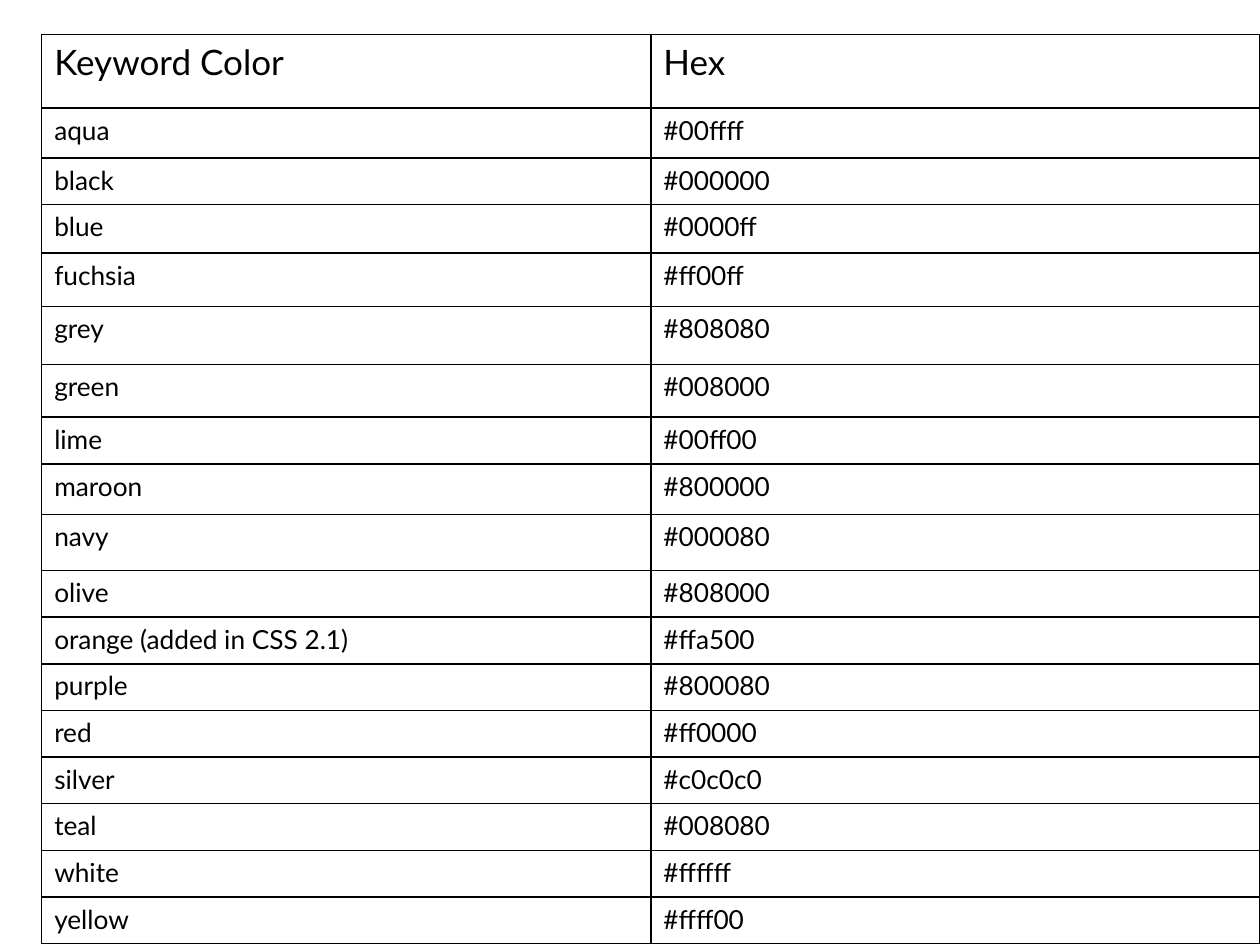
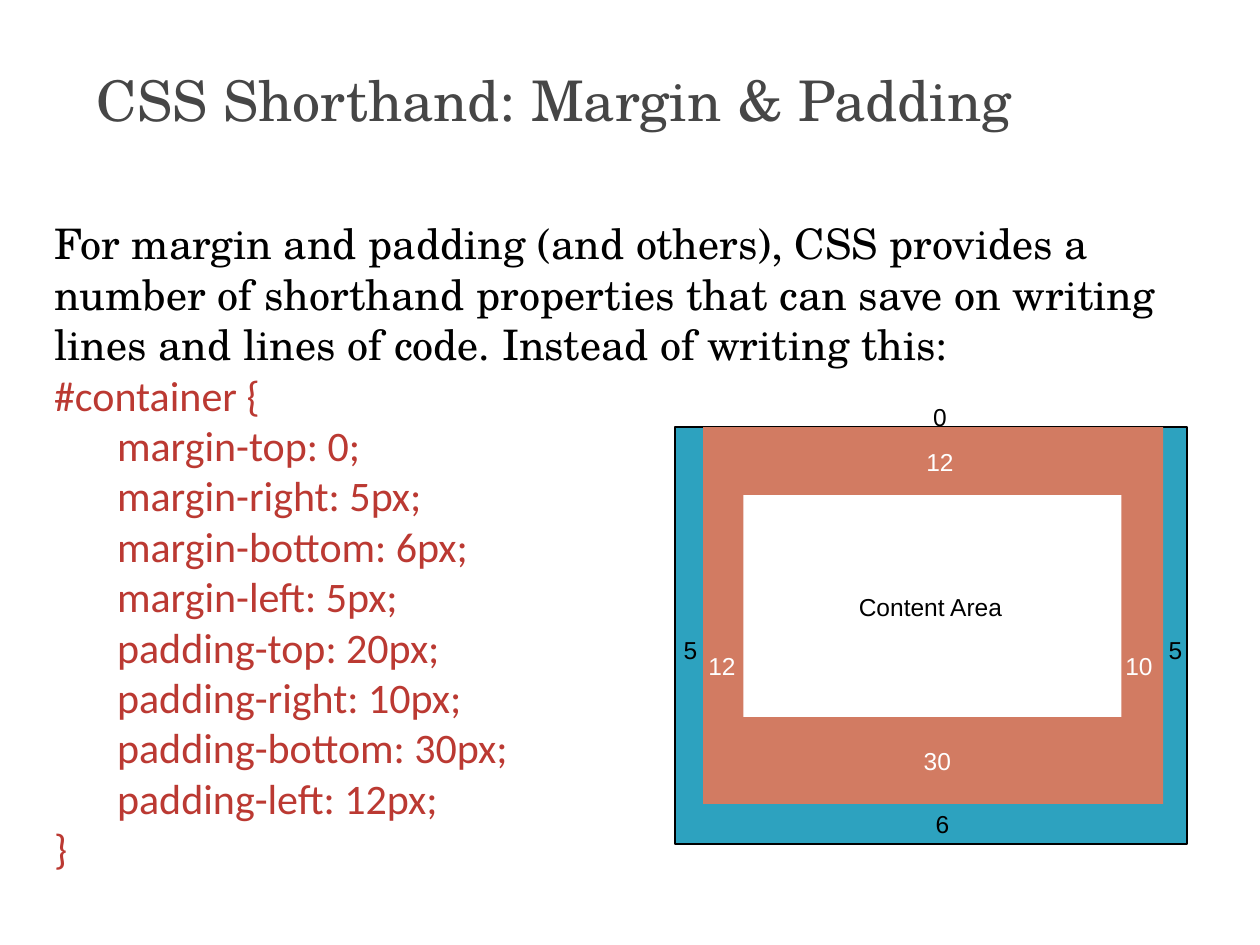
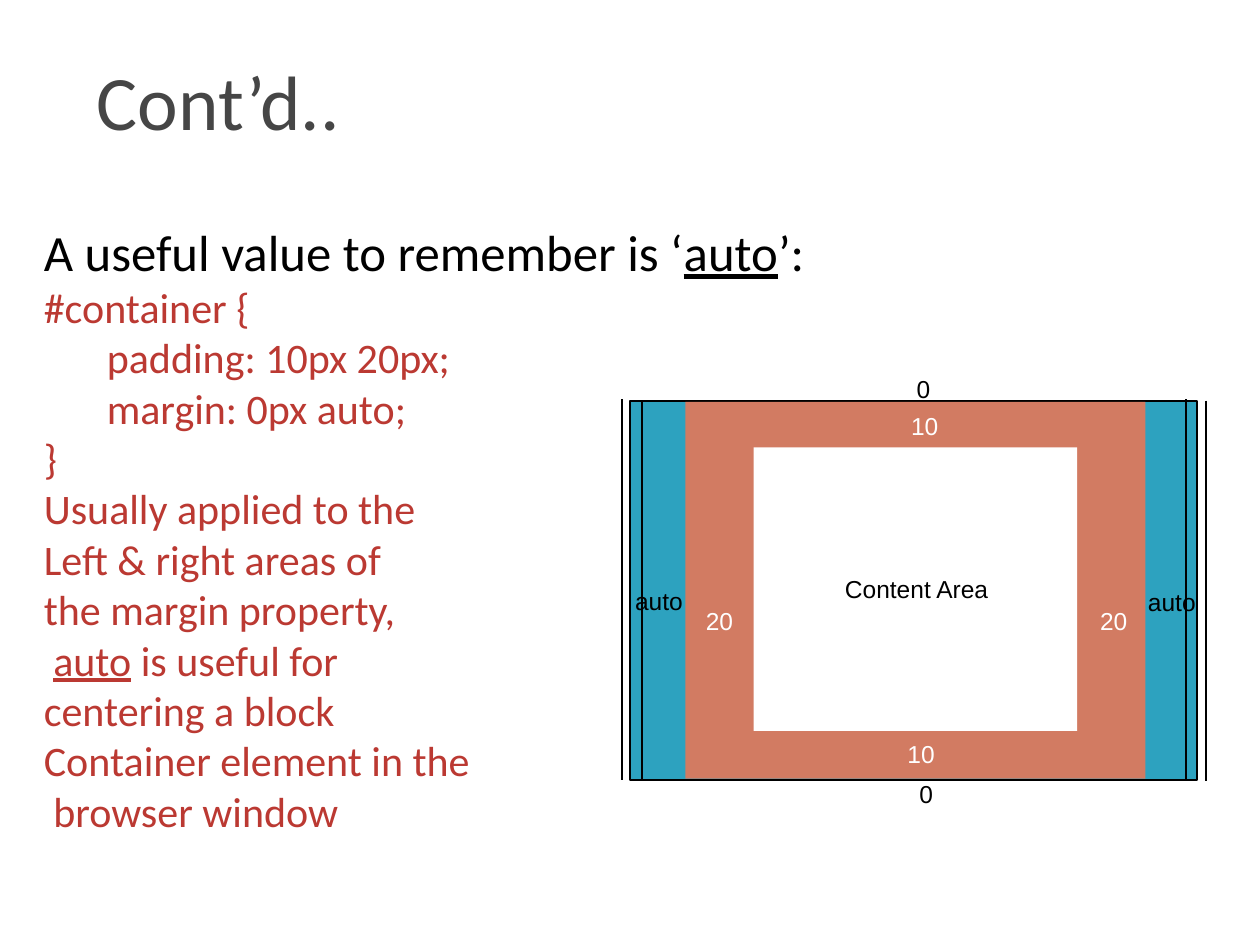
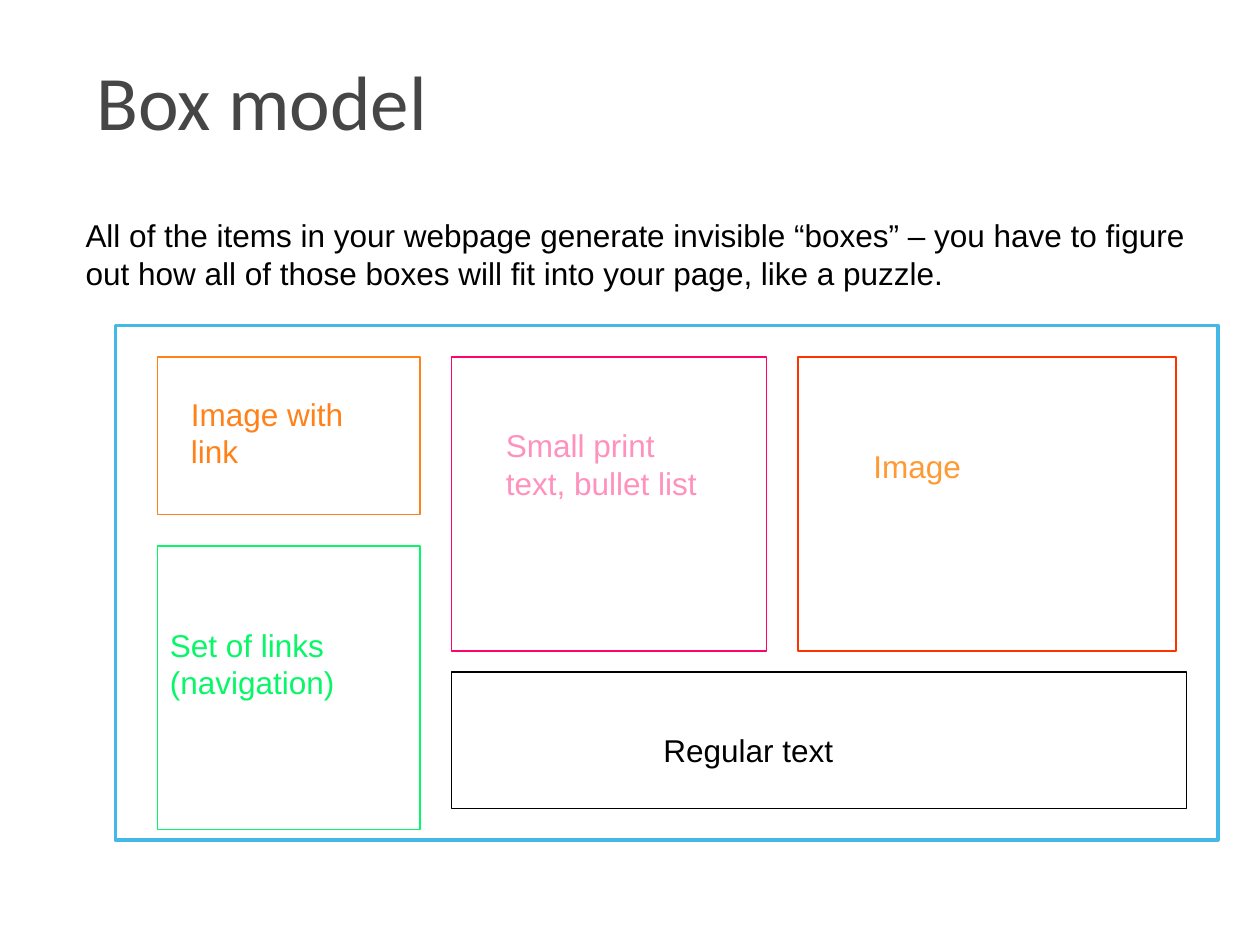
from dataclasses import dataclass
from typing import Optional

import pptx
import pptx.dml.color
import pptx.enum.shapes
import pptx.enum.text
import pptx.oxml
import pptx.oxml.ns
import pptx.util

Pt = pptx.util.Pt
RGBColor = pptx.dml.color.RGBColor
ALIGN = pptx.enum.text.PP_ALIGN
ANCHOR = pptx.enum.text.MSO_ANCHOR

BLACK = RGBColor(0x00, 0x00, 0x00)
WHITE = RGBColor(0xFF, 0xFF, 0xFF)
TITLE_GREY = RGBColor(0x46, 0x46, 0x46)
CODE_RED = RGBColor(0xBB, 0x39, 0x32)
MARGIN_BLUE = RGBColor(0x2D, 0xA2, 0xBF)
PADDING_ORANGE = RGBColor(0xD2, 0x7B, 0x62)
PAGE_BLUE = RGBColor(0x44, 0xB9, 0xE8)
ORANGE = RGBColor(0xFF, 0x81, 0x19)
LIGHT_ORANGE = RGBColor(0xFF, 0x99, 0x33)
PINK = RGBColor(0xFF, 0x05, 0x6A)
LIGHT_PINK = RGBColor(0xFF, 0x91, 0xBE)
GREEN = RGBColor(0x07, 0xF7, 0x68)
RED = RGBColor(0xFF, 0x33, 0x00)

SERIF = "TeX Gyre Schola"
SANS = "Calibri"
CODE_LEADING = 28.8
LABEL_WIDTH, CONTENT_LABEL_WIDTH, LABEL_HEIGHT = 67.7, 169.2, 23.8


@dataclass(frozen=True)
class Box:
    """A rectangle, in points."""
    left: float
    top: float
    width: float
    height: float

    def lengths(self) -> tuple:
        return tuple(Pt(n) for n in (self.left, self.top, self.width, self.height))


@dataclass(frozen=True)
class Label:
    """A centred caption on a margin and padding diagram."""
    text: str
    left: float
    top: float
    color: RGBColor = BLACK
    width: float = LABEL_WIDTH


@dataclass(frozen=True)
class PageItem:
    """An outlined region of the box model and its caption."""
    outline: Box
    line_color: RGBColor
    text: str
    text_box: Box
    text_color: RGBColor


TITLE_BOX = Box(48.2, 18, 642.2, 77.8)

KEYWORD_COLORS = [
    ("Keyword Color", "Hex"),
    ("aqua", "#00ffff"),
    ("black", "#000000"),
    ("blue", "#0000ff"),
    ("fuchsia", "#ff00ff"),
    ("grey", "#808080"),
    ("green", "#008000"),
    ("lime", "#00ff00"),
    ("maroon", "#800000"),
    ("navy", "#000080"),
    ("olive", "#808000"),
    ("orange (added in CSS 2.1)", "#ffa500"),
    ("purple", "#800080"),
    ("red", "#ff0000"),
    ("silver", "#c0c0c0"),
    ("teal", "#008080"),
    ("white", "#ffffff"),
    ("yellow", "#ffff00"),
]
ROW_HEIGHT = 26.65
TALL_ROWS = {0: 42.2, 1: 28.6, 3: 27.6, 4: 30.6, 5: 33.1, 6: 30.2, 8: 29, 9: 32}

SHORTHAND_INTRO = (
    "For margin and padding (and others), CSS provides a number of shorthand "
    "properties that can save on writing lines and lines of code. "
    "Instead of writing this:"
)
SHORTHAND_CODE = [
    "#container {",
    "\tmargin-top: 0;",
    "\tmargin-right: 5px;",
    "\tmargin-bottom: 6px;",
    "\tmargin-left: 5px;",
    "\tpadding-top: 20px;",
    "\tpadding-right: 10px;",
    "\tpadding-bottom: 30px;",
    "\tpadding-left: 12px;",
    "}",
]
AUTO_CODE = [
    "#container {",
    "\tpadding: 10px 20px;",
    "\tmargin: 0px auto;",
    "}",
    "Usually applied to the",
    "Left & right areas of",
    "the margin property,",
    " _auto_ is useful for",
    "centering a block",
    "Container element in the",
    " browser window",
]

# Diagram boxes run margin, padding, content
SHORTHAND_BOXES = (
    Box(385.9, 244.1, 292.3, 238.3),
    Box(401.8, 244.1, 262.8, 215.3),
    Box(424.8, 283, 216, 126.7),
)
SHORTHAND_LABELS = [
    Label("Content Area", 447.1, 334.8, width=CONTENT_LABEL_WIDTH),
    Label("6", 504.7, 458.6),
    Label("5", 360.7, 359.3),
    Label("5", 637.9, 359.3),
    Label("12", 378.7, 368.6, WHITE),
    Label("10", 617, 368.6, WHITE),
    Label("30", 501.8, 422.6, WHITE),
    Label("12", 503.3, 252, WHITE),
    Label("0", 503.3, 226.1),
]
AUTO_BOXES = (
    Box(360, 229, 324, 216.7),
    Box(391.7, 229.7, 262.8, 215.3),
    Box(430.6, 255.6, 185, 162),
)
AUTO_LABELS = [
    Label("Content Area", 439.2, 324.7, width=CONTENT_LABEL_WIDTH),
    Label("0", 495.4, 441.4),
    Label("auto", 342.7, 331.2),
    Label("auto", 635.8, 331.9),
    Label("20", 377.3, 342.7, WHITE),
    Label("20", 602.6, 342.7, WHITE),
    Label("10", 492.5, 419, WHITE),
    Label("10", 494.6, 231.1, WHITE),
    Label("0", 493.9, 210.2),
]
AUTO_EDGES = [(355.5, 228.2), (366.8, 229), (677.8, 228.2), (689.2, 229)]
AUTO_EDGE_LENGTH = 217.4

PAGE_ITEMS = [
    PageItem(Box(90, 204, 150, 90), ORANGE,
             "Image with link", Box(102, 222, 114, 50.4), ORANGE),
    PageItem(Box(258, 204, 180, 168), PINK,
             "Small print text, bullet list", Box(282, 240, 132, 50.4), LIGHT_PINK),
    PageItem(Box(90, 312, 150, 162), GREEN,
             "Set of links (navigation)", Box(90, 354, 150, 50.4), GREEN),
    PageItem(Box(258, 384, 420, 78), BLACK,
             "Regular text", Box(372, 414, 234, 28.8), BLACK),
    PageItem(Box(456, 204, 216, 168), RED,
             "Image", Box(492, 252, 144, 28.8), LIGHT_ORANGE),
]


def write_text(frame, text: str, *, font: str = "Arial", size: float = 18,
               color: RGBColor = BLACK, align=ALIGN.LEFT,
               leading: Optional[float] = None) -> None:
    """Append one paragraph; words between underscores are underlined."""
    paragraph = frame.paragraphs[0]
    if paragraph.runs:
        paragraph = frame.add_paragraph()
    paragraph.alignment = align
    if leading:
        paragraph.line_spacing = Pt(leading)
    for index, part in enumerate(text.split("_")):
        run = paragraph.add_run()
        run.text = part
        run.font.name = font
        run.font.size = Pt(size)
        run.font.color.rgb = color
        if index % 2:
            run.font.underline = True


def add_frame(slide, box: Box, anchor=ANCHOR.TOP):
    frame = slide.shapes.add_textbox(*box.lengths()).text_frame
    frame.word_wrap = True
    frame.vertical_anchor = anchor
    return frame


def add_title(slide, text: str, font: str = SANS, size: float = 44) -> None:
    frame = add_frame(slide, TITLE_BOX, ANCHOR.MIDDLE)
    write_text(frame, text, font=font, size=size, color=TITLE_GREY)


def add_code(frame, lines: list[str]) -> None:
    for line in lines:
        write_text(frame, line, font=SANS, size=24, color=CODE_RED,
                   leading=CODE_LEADING)


def add_rectangle(slide, box: Box, fill: Optional[RGBColor] = None,
                  line: Optional[RGBColor] = None, line_width: float = 1) -> None:
    shape = slide.shapes.add_shape(
        pptx.enum.shapes.MSO_SHAPE.RECTANGLE, *box.lengths())
    shape.shadow.inherit = False
    if fill is None:
        shape.fill.background()
    else:
        shape.fill.solid()
        shape.fill.fore_color.rgb = fill
    if line is None:
        shape.line.fill.background()
    else:
        shape.line.color.rgb = line
        shape.line.width = Pt(line_width)


def add_vertical_line(slide, left: float, top: float, length: float) -> None:
    connector = slide.shapes.add_connector(
        pptx.enum.shapes.MSO_CONNECTOR.STRAIGHT,
        Pt(left), Pt(top), Pt(left), Pt(top + length))
    connector.line.color.rgb = BLACK
    connector.line.width = Pt(1.5)
    properties = connector._element.spPr
    properties.append(properties.makeelement(pptx.oxml.ns.qn("a:effectLst"), {}))


def add_diagram(slide, boxes: tuple[Box, Box, Box], labels: list[Label]) -> None:
    margin, padding, content = boxes
    add_rectangle(slide, margin, MARGIN_BLUE, BLACK)
    add_rectangle(slide, padding, PADDING_ORANGE)
    add_rectangle(slide, content, WHITE)
    for label in labels:
        box = Box(label.left, label.top, label.width, LABEL_HEIGHT)
        write_text(add_frame(slide, box), label.text, size=14,
                   color=label.color, align=ALIGN.CENTER)


def add_cell_borders(cell) -> None:
    properties = cell._tc.get_or_add_tcPr()
    for position, side in enumerate(("lnL", "lnR", "lnT", "lnB")):
        border = pptx.oxml.parse_xml(
            f'<a:{side} {pptx.oxml.ns.nsdecls("a")} w="{Pt(1)}">'
            f'<a:solidFill><a:srgbClr val="{BLACK}"/></a:solidFill></a:{side}>')
        properties.insert(position, border)


def build_color_table(slide) -> None:
    heights = [TALL_ROWS.get(row, ROW_HEIGHT) for row in range(len(KEYWORD_COLORS))]
    box = Box(23.8, 19.6, 696.2, sum(heights))
    table = slide.shapes.add_table(len(heights), 2, *box.lengths()).table
    table.first_row = False
    table.horz_banding = False
    for column in table.columns:
        column.width = Pt(box.width / 2)
    for row, (height, texts) in enumerate(zip(heights, KEYWORD_COLORS)):
        table.rows[row].height = Pt(height)
        for column, text in enumerate(texts):
            cell = table.cell(row, column)
            cell.fill.background()
            add_cell_borders(cell)
            write_text(cell.text_frame, text, font="Lato",
                       size=15 if row else 20)


def build_shorthand(slide) -> None:
    add_title(slide, "CSS Shorthand: Margin & Padding", SERIF, 32)
    frame = add_frame(slide, Box(23.8, 121, 677.5, 406.8))
    write_text(frame, SHORTHAND_INTRO, font=SERIF, size=24, leading=CODE_LEADING)
    add_code(frame, SHORTHAND_CODE)
    add_diagram(slide, SHORTHAND_BOXES, SHORTHAND_LABELS)


def build_auto(slide) -> None:
    add_title(slide, "Cont’d..")
    frame = add_frame(slide, Box(18, 122.4, 684, 375.8))
    write_text(frame, "A useful value to remember is ‘_auto_’:", font=SANS, size=29)
    add_code(frame, AUTO_CODE)
    add_diagram(slide, AUTO_BOXES, AUTO_LABELS)
    for left, top in AUTO_EDGES:
        add_vertical_line(slide, left, top, AUTO_EDGE_LENGTH)


def build_box_model(slide) -> None:
    add_title(slide, "Box model")
    write_text(
        add_frame(slide, Box(41.8, 120, 671.8, 50.4)),
        "All of the items in your webpage generate invisible “boxes” – you have "
        "to figure out how all of those boxes will fit into your page, like a puzzle.")
    add_rectangle(slide, Box(66, 186, 630, 294), line=PAGE_BLUE, line_width=2)
    for item in PAGE_ITEMS:
        add_rectangle(slide, item.outline, line=item.line_color)
        write_text(add_frame(slide, item.text_box), item.text, color=item.text_color)


def main() -> None:
    presentation = pptx.Presentation()
    presentation.slide_width = Pt(720)
    presentation.slide_height = Pt(540)
    blank = presentation.slide_layouts[6]
    for build in (build_color_table, build_shorthand, build_auto, build_box_model):
        build(presentation.slides.add_slide(blank))
    presentation.save("out.pptx")


if __name__ == "__main__":
    main()
